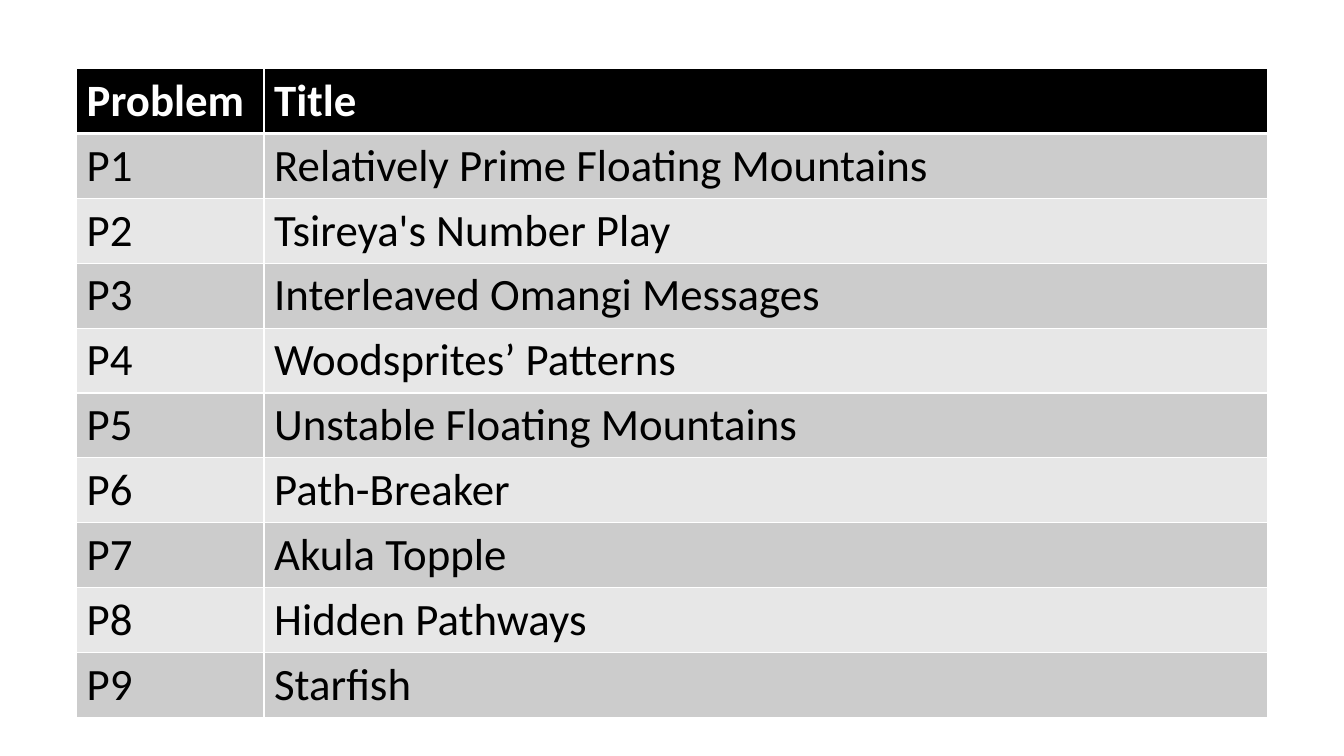
import dataclasses

import lxml.etree
import pptx
import pptx.dml.color
import pptx.enum.text
import pptx.oxml.ns
import pptx.slide
import pptx.table
import pptx.util

SLIDE_WIDTH = pptx.util.Inches(13.33)
SLIDE_HEIGHT = pptx.util.Inches(7.5)
GRID_COLUMN = SLIDE_WIDTH / 100
GRID_ROW = SLIDE_HEIGHT / 100

TABLE_LEFT = 5.7
TABLE_TOP = 9.07
COLUMN_WIDTHS = (13.95, 74.65)
ROW_HEIGHT = 8.44

HEADINGS = ("Problem", "Title")
PROBLEM_TITLES = (
    "Relatively Prime Floating Mountains",
    "Tsireya's Number Play",
    "Interleaved Omangi Messages",
    "Woodsprites’ Patterns",
    "Unstable Floating Mountains",
    "Path-Breaker",
    "Akula Topple",
    "Hidden Pathways",
    "Starfish",
)
BAND_FILLS = ("CCCCCC", "E7E7E7")


@dataclasses.dataclass(frozen=True)
class TableRow:
    texts: tuple[str, ...]
    fill: str
    text_color: str = "000000"
    bold: bool = False
    top_border: float = 1
    bottom_border: float = 1


def color(value: str) -> pptx.dml.color.RGBColor:
    return pptx.dml.color.RGBColor.from_string(value)


def columns(count: float) -> int:
    return round(count * GRID_COLUMN)


def rows(count: float) -> int:
    return round(count * GRID_ROW)


def add_borders(cell: pptx.table._Cell, row: TableRow) -> None:
    qualified = pptx.oxml.ns.qn
    properties = cell._tc.get_or_add_tcPr()
    border_widths = {
        "a:lnL": 1,
        "a:lnR": 1,
        "a:lnT": row.top_border,
        "a:lnB": row.bottom_border,
    }
    for tag, points in border_widths.items():
        line = lxml.etree.SubElement(
            properties, qualified(tag), w=str(pptx.util.Pt(points))
        )
        fill = lxml.etree.SubElement(line, qualified("a:solidFill"))
        lxml.etree.SubElement(fill, qualified("a:srgbClr"), val="FFFFFF")


def fill_cell(cell: pptx.table._Cell, text: str, row: TableRow) -> None:
    add_borders(cell, row)
    cell.fill.solid()
    cell.fill.fore_color.rgb = color(row.fill)
    cell.text = text
    font = cell.text_frame.paragraphs[0].runs[0].font
    text_format = {"name": "Calibri", "size": pptx.util.Pt(32), "bold": row.bold}
    for attribute, value in text_format.items():
        setattr(font, attribute, value)
    font.color.rgb = color(row.text_color)


def draw_table(slide: pptx.slide.Slide, table_rows: list[TableRow]) -> None:
    table = slide.shapes.add_table(
        len(table_rows),
        len(COLUMN_WIDTHS),
        columns(TABLE_LEFT),
        rows(TABLE_TOP),
        columns(sum(COLUMN_WIDTHS)),
        rows(ROW_HEIGHT * len(table_rows)),
    ).table
    for column, width in zip(table.columns, COLUMN_WIDTHS):
        column.width = columns(width)
    for row_index, row in enumerate(table_rows):
        for column_index, text in enumerate(row.texts):
            fill_cell(table.cell(row_index, column_index), text, row)


def problem_rows() -> list[TableRow]:
    header = TableRow(HEADINGS, "000000", "FFFFFF", bold=True, bottom_border=3)
    problems = [
        TableRow(
            (f"P{index + 1}", title),
            BAND_FILLS[index % len(BAND_FILLS)],
            top_border=3 if index == 0 else 1,
        )
        for index, title in enumerate(PROBLEM_TITLES)
    ]
    return [header, *problems]


def main() -> None:
    presentation = pptx.Presentation()
    presentation.slide_width = SLIDE_WIDTH
    presentation.slide_height = SLIDE_HEIGHT
    slide = presentation.slides.add_slide(presentation.slide_layouts[6])
    draw_table(slide, problem_rows())
    presentation.save("out.pptx")


if __name__ == "__main__":
    main()
